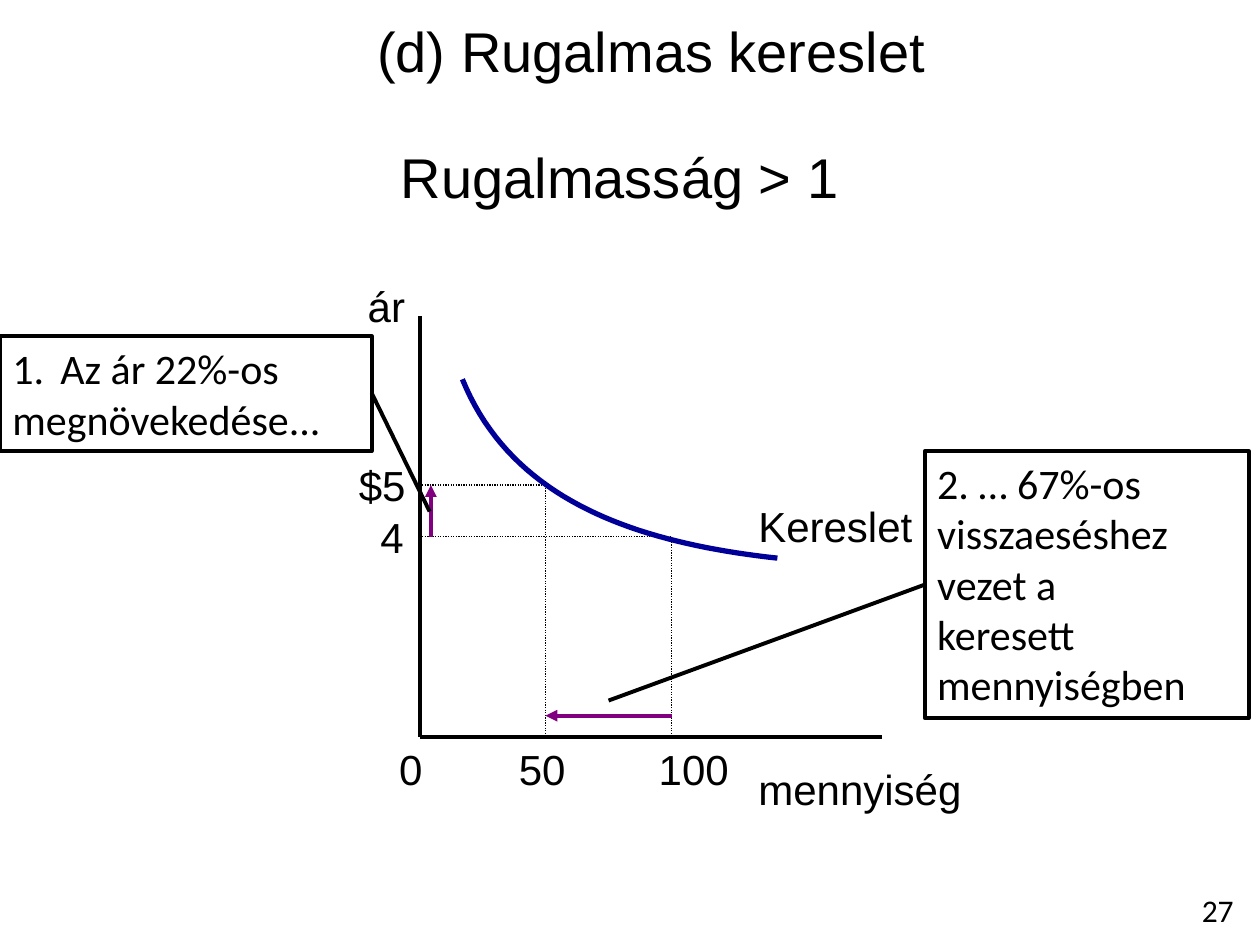
from typing import NamedTuple

from lxml.etree import SubElement
from pptx import Presentation
from pptx.dml.color import RGBColor
from pptx.enum.dml import MSO_LINE_DASH_STYLE as Dash
from pptx.enum.shapes import MSO_CONNECTOR as Conn, MSO_SHAPE as Shape
from pptx.enum.text import MSO_ANCHOR as Anchor, MSO_AUTO_SIZE as AutoSize, PP_ALIGN as Align
from pptx.oxml.ns import qn
from pptx.util import Inches, Pt

BLACK, PURPLE, BLUE = "000000", "800080", "000099"
ORIGIN_X, ORIGIN_Y = 3.33, 5.85
UNITS_PER_COLUMN = 50
COLUMNS, ROWS = 10, 7.5
PRICE_5, PRICE_4 = 3.85, 4.26
ARROW_X, ARROW_Y = 3.42, 5.68
HANGING = 0.38


class Box(NamedTuple):
    left: float
    top: float
    width: float
    height: float


class Label(NamedTuple):
    text: str
    box: Box


class Line(NamedTuple):
    x1: float
    y1: float
    x2: float
    y2: float
    color: str = BLACK
    width: float = 2.25
    dotted: bool = False
    arrow: bool = False


class Callout(NamedTuple):
    lines: list
    box: Box
    leader: Line
    numbered: bool = False
    wrap: bool = False


def quantity_x(quantity: float) -> float:
    return ORIGIN_X + quantity / UNITS_PER_COLUMN


X_50, X_100 = quantity_x(50), quantity_x(100)

LABELS = [
    Label("ár", Box(2.82, 2.18, 0.59, 0.5)),
    Label("mennyiség", Box(5.92, 6.01, 1.93, 0.5)),
    Label("$5", Box(2.75, 3.6, 0.58, 0.51)),
    Label("4", Box(2.92, 4.01, 0.39, 0.51)),
    Label("Kereslet", Box(5.92, 3.92, 1.44, 0.5)),
    Label("0", Box(3.07, ORIGIN_Y, 0.39, 0.5)),
    Label("50", Box(4.02, ORIGIN_Y, 0.58, 0.5)),
    Label("100", Box(5.13, ORIGIN_Y, 0.76, 0.5)),
]

AXES = [
    Line(ORIGIN_X, 2.51, ORIGIN_X, ORIGIN_Y),
    Line(ORIGIN_X, ORIGIN_Y, 7, ORIGIN_Y),
]

GUIDES = [
    Line(*ends, width=0.75, dotted=True)
    for x, y in ((X_50, PRICE_5), (X_100, PRICE_4))
    for ends in ((ORIGIN_X, y, x, y), (x, y, x, ORIGIN_Y))
]

CHANGES = [
    Line(ARROW_X, PRICE_4, ARROW_X, PRICE_5, PURPLE, arrow=True),
    Line(X_100, ARROW_Y, X_50, ARROW_Y, PURPLE, arrow=True),
]

CALLOUTS = [
    Callout(["Az ár 22%-os", "megnövekedése..."], Box(0, 2.67, 2.95, 0.91),
            Line(3.41, 4.06, 2.95, 3.12), numbered=True),
    Callout(["2. … 67%-os", "visszaeséshez", "vezet a", "keresett mennyiségben"],
            Box(7.34, 3.58, 2.57, 2.12), Line(4.83, 5.56, 7.34, 4.64), wrap=True),
]

CURVE = [(3.67, 3.01), (4.07, 3.99), (5.08, 4.31), (6.17, 4.43)]
CURVE_STEPS = 40

prs = Presentation()
prs.slide_width, prs.slide_height = Inches(COLUMNS), Inches(ROWS)
s = prs.slides.add_slide(prs.slide_layouts[5])


def emu(*cells: float) -> list:
    return [Inches(cell) for cell in cells]


def rgb(color: str) -> RGBColor:
    return RGBColor.from_string(color)


def write(sp, *lines: str, size: float = 24, font: str = "Arial", color: str = BLACK,
          align=Align.LEFT, wrap: bool = False, numbered: bool = False) -> None:
    tf = sp.text_frame
    tf.word_wrap = wrap
    tf.auto_size = AutoSize.SHAPE_TO_FIT_TEXT
    tf.vertical_anchor = Anchor.TOP
    tf.margin_left = tf.margin_right = Inches(0.1)
    tf.margin_top = tf.margin_bottom = Inches(0.05)
    for i, text in enumerate(lines):
        p = tf.paragraphs[0] if i == 0 else tf.add_paragraph()
        p.alignment = align
        if numbered and i == 0:
            pPr = p._p.get_or_add_pPr()
            pPr.set("marL", str(Inches(HANGING)))
            pPr.set("indent", str(-Inches(HANGING)))
            SubElement(pPr, qn("a:buFont"), typeface="+mj-lt")
            SubElement(pPr, qn("a:buAutoNum"), type="arabicPeriod")
        r = p.add_run()
        r.text = text
        r.font.size, r.font.name = Pt(size), font
        r.font.color.rgb = rgb(color)


def add_text(text: str, box: Box, **style) -> None:
    write(s.shapes.add_textbox(*emu(*box)), text, **style)


def add_line(line: Line) -> None:
    sp = s.shapes.add_connector(Conn.STRAIGHT, *emu(*line[:4]))
    sp.line.color.rgb = rgb(line.color)
    sp.line.width = Pt(line.width)
    if line.dotted:
        sp.line.dash_style = Dash.ROUND_DOT
    if line.arrow:
        SubElement(sp.line._get_or_add_ln(), qn("a:tailEnd"), type="triangle")
    SubElement(sp._element.spPr, qn("a:effectLst"))


def outline(sp, color: str, width: float) -> None:
    sp.shadow.inherit = False
    sp.fill.background()
    sp.line.color.rgb = rgb(color)
    sp.line.width = Pt(width)


def add_callout(callout: Callout) -> None:
    sp = s.shapes.add_shape(Shape.RECTANGLE, *emu(*callout.box))
    outline(sp, BLACK, 2.25)
    write(sp, *callout.lines, font="Calibri", wrap=callout.wrap, numbered=callout.numbered)
    add_line(callout.leader)


def bezier(t: float) -> tuple:
    u = 1 - t
    weights = (u**3, 3 * u * u * t, 3 * u * t * t, t**3)
    return tuple(Inches(sum(w * point[axis] for w, point in zip(weights, CURVE)))
                 for axis in (0, 1))


def add_curve() -> None:
    points = [bezier(i / CURVE_STEPS) for i in range(CURVE_STEPS + 1)]
    builder = s.shapes.build_freeform(*points[0])
    builder.add_line_segments(points[1:], close=False)
    outline(builder.convert_to_shape(), BLUE, 3)


title = s.shapes.title
title.left, title.top, title.width, title.height = emu(2.88, 0.08, 4.58, 0.64)
write(title, "(d) Rugalmas kereslet", size=32, align=Align.CENTER)
add_text("Rugalmasság > 1", Box(3.07, 1.08, 3.7, 0.64), size=32, align=Align.CENTER)
add_text("27", Box(9.33, 7.02, 0.67, 0.4), size=18, font="Calibri", align=Align.CENTER, wrap=True)

for line in AXES + GUIDES + CHANGES:
    add_line(line)
for label in LABELS:
    add_text(label.text, label.box)
for callout in CALLOUTS:
    add_callout(callout)
add_curve()

prs.save("out.pptx")
